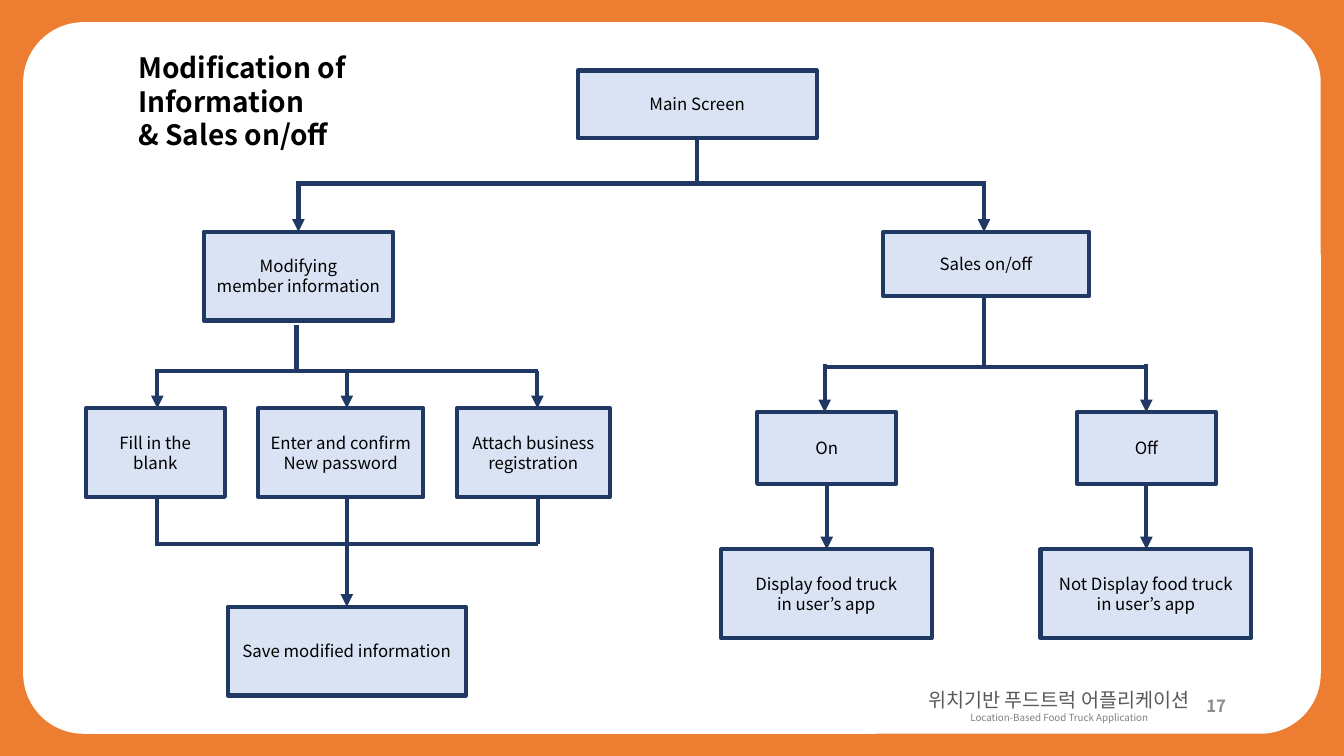
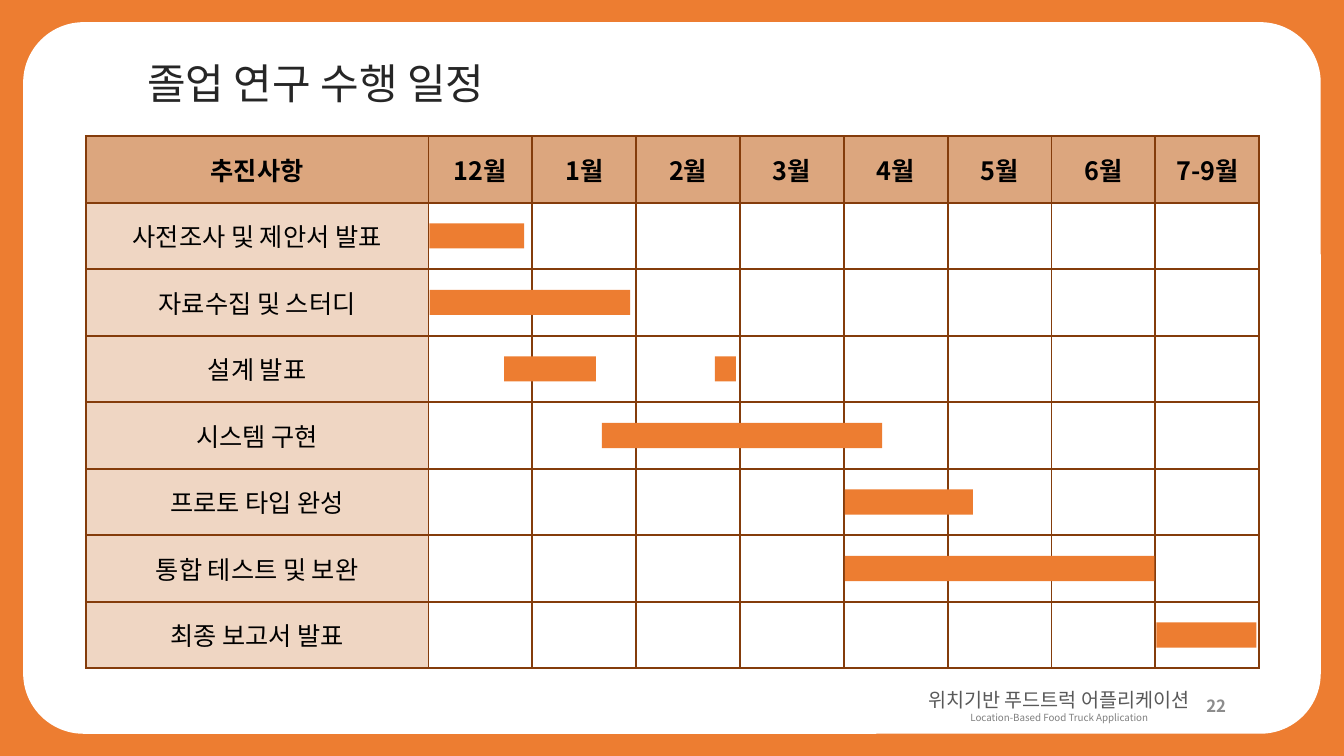
import pptx
import pptx.util
import pptx.dml.color
import pptx.enum.shapes
import pptx.enum.text
import pptx.oxml
import pptx.oxml.ns

Inches = pptx.util.Inches
Pt = pptx.util.Pt
RGBColor = pptx.dml.color.RGBColor
MSO_SHAPE = pptx.enum.shapes.MSO_SHAPE
PP_ALIGN = pptx.enum.text.PP_ALIGN
MSO_ANCHOR = pptx.enum.text.MSO_ANCHOR

FONT = "Noto Sans CJK KR"
ORANGE = RGBColor(0xED, 0x7D, 0x31)
WHITE = RGBColor(0xFF, 0xFF, 0xFF)
BLACK = RGBColor(0x00, 0x00, 0x00)
CHARCOAL = RGBColor(0x26, 0x26, 0x26)
DARK_GRAY = RGBColor(0x59, 0x59, 0x59)
GRAY = RGBColor(0x80, 0x80, 0x80)
PAGE_GRAY = RGBColor(0x8C, 0x8C, 0x8C)
NAVY = RGBColor(0x20, 0x38, 0x64)
PALE_BLUE = RGBColor(0xDA, 0xE3, 0xF3)
BROWN = RGBColor(0x84, 0x3C, 0x0B)
HEADER_TAN = RGBColor(0xDC, 0xA6, 0x7E)
LABEL_TAN = RGBColor(0xEF, 0xD6, 0xC3)


def write(tf, text, size=12, color=BLACK, bold=False, align=PP_ALIGN.CENTER,
          anchor=MSO_ANCHOR.MIDDLE):
    """Fill a text frame, one paragraph per line of text."""
    tf.word_wrap = True
    tf.vertical_anchor = anchor
    for i, line in enumerate(text.split("\n")):
        p = tf.paragraphs[0] if i == 0 else tf.add_paragraph()
        p.alignment = align
        r = p.add_run()
        r.text = line
        r.font.size = Pt(size)
        r.font.bold = bold
        r.font.color.rgb = color
        r.font.name = FONT
        ea = pptx.oxml.parse_xml(
            f'<a:ea {pptx.oxml.ns.nsdecls("a")} typeface="{FONT}"/>')
        r.font._element.append(ea)


def add_block(slide, kind, box, fill, line=None):
    """Add a flat preset shape, outlined only when a line colour is given."""
    sp = slide.shapes.add_shape(kind, *map(Inches, box))
    sp.shadow.inherit = False
    sp.fill.solid()
    sp.fill.fore_color.rgb = fill
    if line is None:
        sp.line.fill.background()
    else:
        sp.line.color.rgb = line
        sp.line.width = Pt(3)
    return sp


prs = pptx.Presentation()
prs.slide_width, prs.slide_height = Inches(13.33), Inches(7.5)
bg = prs.slide_master.background.fill
bg.solid()
bg.fore_color.rgb = ORANGE
layout = prs.slide_layouts[5]
flow, plan = prs.slides.add_slide(layout), prs.slides.add_slide(layout)

# Shared frame, title and footer
pages = [
    (flow, "17", "Modification of Information\n& Sales on/off",
     (1.27, 0.45, 3.81, 0.77), 20, BLACK, True),
    (plan, "22", "졸업 연구 수행 일정", (1.36, 0.52, 4.66, 0.61), 30, CHARCOAL, False),
]
for slide, number, title, box, size, color, bold in pages:
    panel = add_block(slide, MSO_SHAPE.ROUNDED_RECTANGLE,
                      (0.23, 0.22, 12.87, 7.06), WHITE)
    panel.adjustments[0] = 0.085
    slide.shapes._spTree.insert(2, panel._element)  # behind the title

    sp = slide.shapes.title
    sp.left, sp.top, sp.width, sp.height = map(Inches, box)
    sp.text_frame.auto_size = pptx.enum.text.MSO_AUTO_SIZE.NONE
    write(sp.text_frame, title, size=size, color=color, bold=bold,
          align=PP_ALIGN.LEFT, anchor=MSO_ANCHOR.TOP)

    footer = [
        ((9.26, 6.8, 3, 0.4), number,
         dict(color=PAGE_GRAY, bold=True, align=PP_ALIGN.RIGHT)),
        ((8.2, 6.78, 4.61, 0.34), "위치기반 푸드트럭 어플리케이션",
         dict(size=14, color=DARK_GRAY, anchor=MSO_ANCHOR.TOP)),
        ((8.2, 7.01, 4.61, 0.22), "Location-Based Food Truck Application",
         dict(size=7, color=GRAY, anchor=MSO_ANCHOR.TOP)),
    ]
    for place, text, style in footer:
        sp = slide.shapes.add_textbox(*map(Inches, place))
        write(sp.text_frame, text, **style)

# Flow chart: boxes
boxes = [
    ((5.73, 0.7, 2.37, 0.67), "Main Screen"),
    ((2.02, 2.3, 1.88, 0.88), "Modifying\nmember information"),
    ((8.76, 2.3, 2.04, 0.64), "Sales on/off"),
    ((0.85, 4.05, 1.38, 0.88), "Fill in the blank"),
    ((2.56, 4.05, 1.64, 0.88), "Enter and confirm\nNew password"),
    ((4.53, 4.05, 1.52, 0.88), "Attach business\nregistration"),
    ((2.26, 6.02, 2.36, 0.88), "Save modified information"),
    ((7.51, 4.09, 1.38, 0.71), "On"),
    ((10.68, 4.09, 1.38, 0.71), "Off"),
    ((7.15, 5.45, 2.09, 0.88), "Display food truck\nin user’s app"),
    ((10.32, 5.45, 2.09, 0.88), "Not Display food truck in user’s app"),
]
for box, text in boxes:
    sp = add_block(flow, MSO_SHAPE.RECTANGLE, box, PALE_BLUE, NAVY)
    write(sp.text_frame, text)

# Flow chart: plain lines, then arrows, as x1, y1, x2, y2
lines = [
    (6.91, 1.37, 6.91, 1.82), (2.94, 1.82, 9.78, 1.82),
    (2.94, 3.22, 2.94, 3.68), (1.54, 3.68, 5.34, 3.68),
    (1.56, 4.94, 1.56, 5.4), (5.34, 4.94, 5.34, 5.4), (1.54, 5.4, 5.34, 5.4),
    (9.76, 2.93, 9.76, 3.64), (8.18, 3.64, 11.37, 3.64),
]
arrows = [
    (2.96, 1.82, 2.96, 2.3), (9.76, 1.82, 9.76, 2.3),
    (1.56, 3.68, 1.56, 4.05), (3.44, 3.68, 3.44, 4.05), (5.33, 3.68, 5.33, 4.05),
    (3.44, 4.95, 3.44, 6.02),
    (8.18, 3.61, 8.18, 4.09), (11.37, 3.61, 11.37, 4.09),
    (8.2, 4.8, 8.2, 5.45), (11.37, 4.8, 11.37, 5.45),
]
for i, ends in enumerate(lines + arrows):
    cxn = flow.shapes.add_connector(pptx.enum.shapes.MSO_CONNECTOR.STRAIGHT,
                                    *map(Inches, ends))
    cxn.line.color.rgb = NAVY
    cxn.line.width = Pt(3)
    if i >= len(lines):
        cxn.line._get_or_add_ln().append(pptx.oxml.parse_xml(
            f'<a:tailEnd {pptx.oxml.ns.nsdecls("a")} type="triangle"/>'))
    cxn._element.spPr.append(pptx.oxml.parse_xml(
        f'<a:effectLst {pptx.oxml.ns.nsdecls("a")}/>'))

# Schedule table
LEFT, TOP, ROW_H, LABEL_W, MONTH_W = 0.85, 1.35, 0.66, 3.4, 1.03
header = ["추진사항", "12월", "1월", "2월", "3월", "4월", "5월", "6월", "7-9월"]
# Each task with its bars as (left, width)
tasks = [
    ("사전조사 및 제안서 발표", [(4.26, 0.94)]),
    ("자료수집 및 스터디", [(4.26, 1.99)]),
    ("설계 발표", [(5, 0.91), (7.09, 0.21)]),
    ("시스템 구현", [(5.97, 2.78)]),
    ("프로토 타입 완성", [(8.38, 1.27)]),
    ("통합 테스트 및 보완", [(8.38, 3.07)]),
    ("최종 보고서 발표", [(11.47, 0.99)]),
]
rows, cols = len(tasks) + 1, len(header)
table = plan.shapes.add_table(
    rows, cols, Inches(LEFT), Inches(TOP),
    Inches(LABEL_W + MONTH_W * (cols - 1)), Inches(ROW_H * rows)).table
table.first_row = table.horz_banding = False
for c in range(cols):
    table.columns[c].width = Inches(MONTH_W if c else LABEL_W)
for r in range(rows):
    table.rows[r].height = Inches(ROW_H)
    for c in range(cols):
        cell = table.cell(r, c)
        tc_pr = cell._tc.get_or_add_tcPr()
        for side in ("lnL", "lnR", "lnT", "lnB"):
            tc_pr.append(pptx.oxml.parse_xml(
                f'<a:{side} {pptx.oxml.ns.nsdecls("a")} w="{Pt(1.5)}"><a:solidFill>'
                f'<a:srgbClr val="{BROWN}"/></a:solidFill></a:{side}>'))
        cell.fill.solid()
        cell.fill.fore_color.rgb = (HEADER_TAN if r == 0 else
                                    LABEL_TAN if c == 0 else WHITE)
        if r == 0 or c == 0:
            cell.vertical_anchor = MSO_ANCHOR.MIDDLE
            text = header[c] if r == 0 else tasks[r - 1][0]
            write(cell.text_frame, text, size=18, bold=r == 0)

# Schedule bars, centred in their rows
BAR_H = 0.25
for row, (task, bars) in enumerate(tasks, start=1):
    top = TOP + ROW_H * row + (ROW_H - BAR_H) / 2
    for left, width in bars:
        add_block(plan, MSO_SHAPE.RECTANGLE, (left, top, width, BAR_H), ORANGE)

prs.save("out.pptx")
